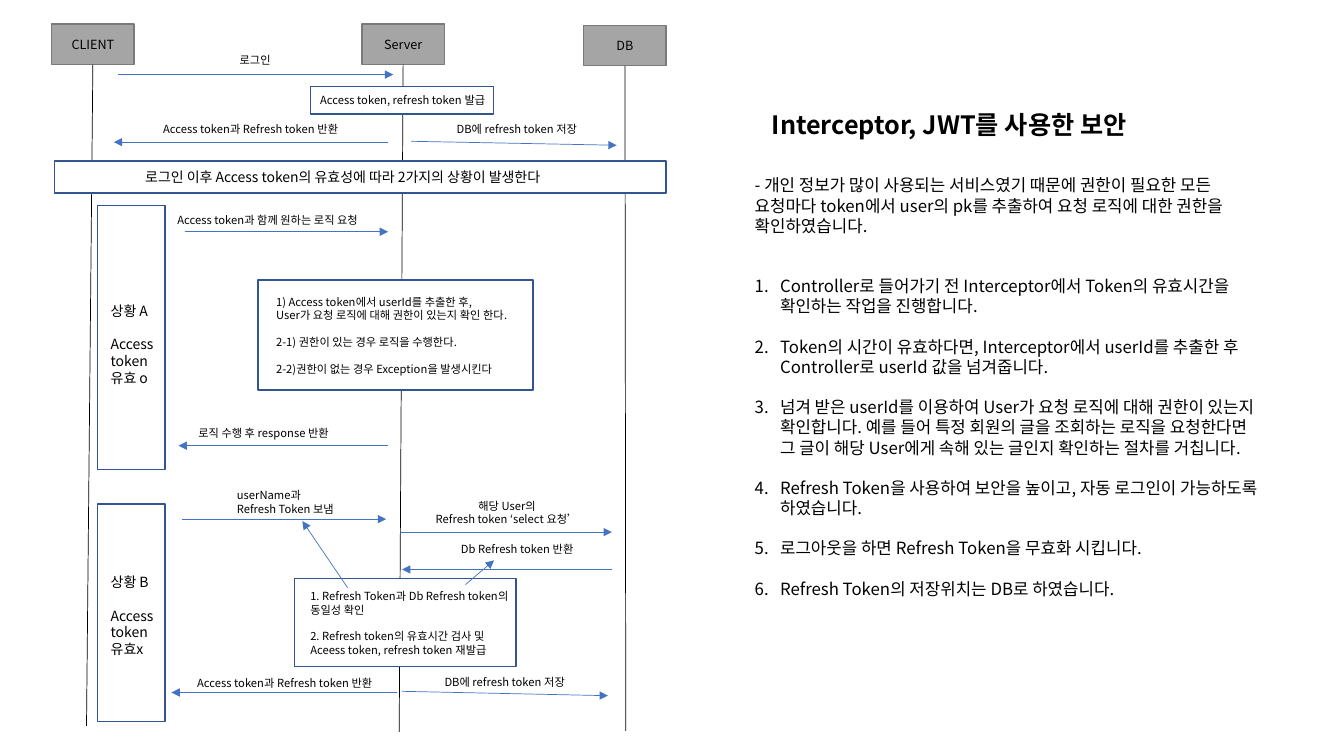
from dataclasses import dataclass

from lxml.etree import SubElement
from pptx import Presentation
from pptx.dml.color import RGBColor
from pptx.enum.shapes import MSO_CONNECTOR, MSO_SHAPE
from pptx.enum.text import MSO_ANCHOR as Anchor, PP_ALIGN as Align
from pptx.oxml.ns import qn
from pptx.shapes.autoshape import Shape
from pptx.shapes.connector import Connector
from pptx.shapes.shapetree import SlideShapes
from pptx.text.text import TextFrame, _Paragraph as Paragraph
from pptx.util import Cm, Pt

BLACK = RGBColor(0x00, 0x00, 0x00)
WHITE = RGBColor(0xFF, 0xFF, 0xFF)
GRAY = RGBColor(0xA5, 0xA5, 0xA5)
DARK_GRAY = RGBColor(0x7A, 0x7A, 0x7A)
BLUE = RGBColor(0x44, 0x72, 0xC4)
NAVY = RGBColor(0x32, 0x54, 0x91)
FONT = "Noto Sans CJK KR"
LINE_HEIGHT = 1.2
INSET = 0.25


@dataclass(frozen=True)
class Actor:
    name: str
    left: float
    top: float
    foot_x: float
    foot_y: float


@dataclass(frozen=True)
class Box:
    left: float
    top: float
    width: float
    height: float
    text: str = ""
    size: int = 8
    inset: float = INSET
    text_top: float | None = None


@dataclass(frozen=True)
class Message:
    x1: float
    y1: float
    x2: float
    y2: float


@dataclass(frozen=True)
class Label:
    text: str
    left: float
    top: float
    width: float
    size: int = 8
    align: Align = Align.LEFT
    bold: bool = False


ACTORS = [
    Actor("CLIENT", 1.3, 0.61, 2.18, 18.29),
    Actor("Server", 9.12, 0.61, 10.06, 18.44),
    Actor("DB", 14.71, 0.64, 15.77, 18.42),
]
BOXES = [
    Box(7.82, 2.18, 4.62, 0.69, "Access token, refresh token 발급"),
    Box(1.37, 4.06, 15.42, 0.81,
        "로그인 이후 Access token의 유효성에 따라 2가지의 상황이 발생한다", 10, 2.29),
    Box(6.5, 7.06, 6.93, 2.77,
        "1) Access token에서 userId를 추출한 후,\n"
        "User가 요청 로직에 대해 권한이 있는지 확인 한다.\n\n"
        "2-1) 권한이 있는 경우 로직을 수행한다.\n\n"
        "2-2)권한이 없는 경우 Exception을 발생시킨다", 8, 0.46),
    Box(7.42, 14.58, 5.59, 2.21),
    Box(2.46, 5.18, 1.7, 6.65, "상황 A\n\nAccess token\n유효 o", 10, 0.33, 2.44),
    Box(2.46, 12.7, 1.7, 5.49, "상황 B\n\nAccess token\n유효x", 10, 0.33, 1.75),
]
MESSAGES = [
    Message(2.97, 1.88, 9.91, 1.88),
    Message(9.78, 3.58, 2.87, 3.58),
    Message(10.36, 3.56, 15.54, 3.66),
    Message(4.65, 5.84, 9.78, 5.84),
    Message(9.78, 11.23, 4.5, 11.23),
    Message(4.6, 13.08, 9.73, 13.08),
    Message(10.11, 13.41, 15.42, 13.41),
    Message(15.42, 14.35, 10.13, 14.35),
    Message(10.01, 17.45, 4.32, 17.45),
    Message(10.13, 17.42, 15.32, 17.53),
    Message(8.76, 14.81, 7.62, 13.13),
    Message(11.73, 14.73, 12.45, 14.12),
]
LABELS = [
    Label("로그인", 5.79, 1.22, 5.94),
    Label("Access token과 Refresh token 반환", 3.86, 2.97, 5.18),
    Label("DB에 refresh token 저장", 10.74, 2.95, 4.57, align=Align.CENTER),
    Label("Access token과 함께 원하는 로직 요청", 4.22, 5.26, 6.1),
    Label("로직 수행 후 response 반환", 4.75, 10.62, 6.17),
    Label("userName과\nRefresh Token 보냄", 5.72, 12.19, 3.51),
    Label("해당 User의\nRefresh token ‘select 요청’", 9.58, 12.45, 6.4, align=Align.CENTER),
    Label("Db Refresh token 반환", 10.85, 13.54, 4.37, align=Align.CENTER),
    Label("1. Refresh Token과 Db Refresh token의\n동일성 확인\n\n"
          "2. Refresh token의 유효시간 검사 및\nAceess token, refresh token 재발급",
          7.57, 14.73, 8.33),
    Label("Access token과 Refresh token 반환", 4.72, 16.92, 6.45),
    Label("DB에 refresh token 저장", 10.41, 16.89, 4.62, align=Align.CENTER),
    Label("Interceptor, JWT를 사용한 보안", 19.2, 2.64, 10.54, 18, bold=True),
]
INTRO = ("- 개인 정보가 많이 사용되는 서비스였기 때문에 권한이 필요한 모든 요청마다 token에서 "
         "user의 pk를 추출하여 요청 로직에 대한 권한을 확인하였습니다.")
STEPS = [
    "Controller로 들어가기 전 Interceptor에서 Token의 유효시간을 확인하는 작업을 진행합니다.",
    "Token의 시간이 유효하다면, Interceptor에서 userId를 추출한 후 Controller로 userId 값을 넘겨줍니다.",
    "넘겨 받은 userId를 이용하여 User가 요청 로직에 대해 권한이 있는지 확인합니다. 예를 들어 "
    "특정 회원의 글을 조회하는 로직을 요청한다면 그 글이 해당 User에게 속해 있는 글인지 "
    "확인하는 절차를 거칩니다.",
    "Refresh Token을 사용하여 보안을 높이고, 자동 로그인이 가능하도록 하였습니다.",
    "로그아웃을 하면 Refresh Token을 무효화 시킵니다.",
    "Refresh Token의 저장위치는 DB로 하였습니다.",
]


def add_run(paragraph: Paragraph, text: str, size: int, bold: bool = False) -> None:
    run = paragraph.add_run()
    run.text = text
    run.font.size, run.font.bold, run.font.name = Pt(size), bold, FONT
    run.font.color.rgb = BLACK
    SubElement(run.font._element, qn("a:ea"), typeface=FONT)


def write(frame: TextFrame, text: str, size: int, align: Align, bold: bool = False) -> None:
    frame.word_wrap = True
    paragraph = frame.paragraphs[0]
    for b, block in enumerate(text.split("\n\n")):
        for i, line in enumerate(block.split("\n")):
            if b or i:
                paragraph = frame.add_paragraph()
            if b and not i:
                paragraph.space_before = Pt(size * LINE_HEIGHT)
            paragraph.alignment = align
            add_run(paragraph, line, size, bold)


def draw_rectangle(shapes: SlideShapes, box: Box, fill: RGBColor, line: RGBColor,
                   align: Align) -> Shape:
    rectangle = shapes.add_shape(MSO_SHAPE.RECTANGLE, Cm(box.left), Cm(box.top),
                                 Cm(box.width), Cm(box.height))
    rectangle.shadow.inherit = False
    rectangle.fill.solid()
    rectangle.fill.fore_color.rgb = fill
    rectangle.line.color.rgb = line
    rectangle.line.width = Pt(1)
    if box.text:
        frame = rectangle.text_frame
        frame.margin_left = Cm(box.inset)
        frame.margin_right = Cm(box.inset if align == Align.CENTER else 0)
        frame.margin_top = Cm(box.text_top or 0)
        frame.margin_bottom = 0
        frame.vertical_anchor = Anchor.MIDDLE if box.text_top is None else Anchor.TOP
        write(frame, box.text, box.size, align)
    return rectangle


def draw_line(shapes: SlideShapes, message: Message, color: RGBColor) -> Connector:
    line = shapes.add_connector(MSO_CONNECTOR.STRAIGHT, Cm(message.x1), Cm(message.y1),
                                Cm(message.x2), Cm(message.y2))
    line.line.color.rgb = color
    line.line.width = Pt(0.5)
    SubElement(line._element.spPr, qn("a:effectLst"))
    return line


def draw_actor(shapes: SlideShapes, actor: Actor) -> None:
    head = draw_rectangle(shapes, Box(actor.left, actor.top, 2.08, 1.02, actor.name, 9),
                          GRAY, DARK_GRAY, Align.CENTER)
    lifeline = draw_line(shapes, Message(actor.left, actor.top, actor.foot_x, actor.foot_y), BLACK)
    lifeline.begin_connect(head, 2)


def draw_message(shapes: SlideShapes, message: Message) -> None:
    arrow = draw_line(shapes, message, BLUE)
    SubElement(arrow.line._get_or_add_ln(), qn("a:tailEnd"), type="triangle")


def draw_label(shapes: SlideShapes, label: Label) -> TextFrame:
    lines = label.text.count("\n") + 1
    height = Cm(INSET) + Pt(label.size * LINE_HEIGHT * lines)
    frame = shapes.add_textbox(Cm(label.left), Cm(label.top), Cm(label.width), height).text_frame
    write(frame, label.text, label.size, label.align, label.bold)
    return frame


def draw_explanation(shapes: SlideShapes) -> None:
    size = 12
    frame = draw_label(shapes, Label(INTRO, 18.77, 4.29, 13.26, size))
    frame.paragraphs[0].space_after = Pt(size * LINE_HEIGHT)
    for step in STEPS:
        paragraph = frame.add_paragraph()
        paragraph.space_before = Pt(size * LINE_HEIGHT)
        add_run(paragraph, step, size)
        properties = paragraph._p.get_or_add_pPr()
        properties.set("marL", str(Cm(0.64)))
        properties.set("indent", str(Cm(-0.64)))
        SubElement(properties, qn("a:buFont"), typeface="+mj-lt")
        SubElement(properties, qn("a:buAutoNum"), type="arabicPeriod")


def main() -> None:
    deck = Presentation()
    deck.slide_width, deck.slide_height = Cm(33.87), Cm(19.05)
    shapes = deck.slides.add_slide(deck.slide_layouts[6]).shapes
    for actor in ACTORS:
        draw_actor(shapes, actor)
    for box in BOXES:
        draw_rectangle(shapes, box, WHITE, NAVY, Align.LEFT)
    for message in MESSAGES:
        draw_message(shapes, message)
    for label in LABELS:
        draw_label(shapes, label)
    draw_explanation(shapes)
    deck.save("out.pptx")


if __name__ == "__main__":
    main()
